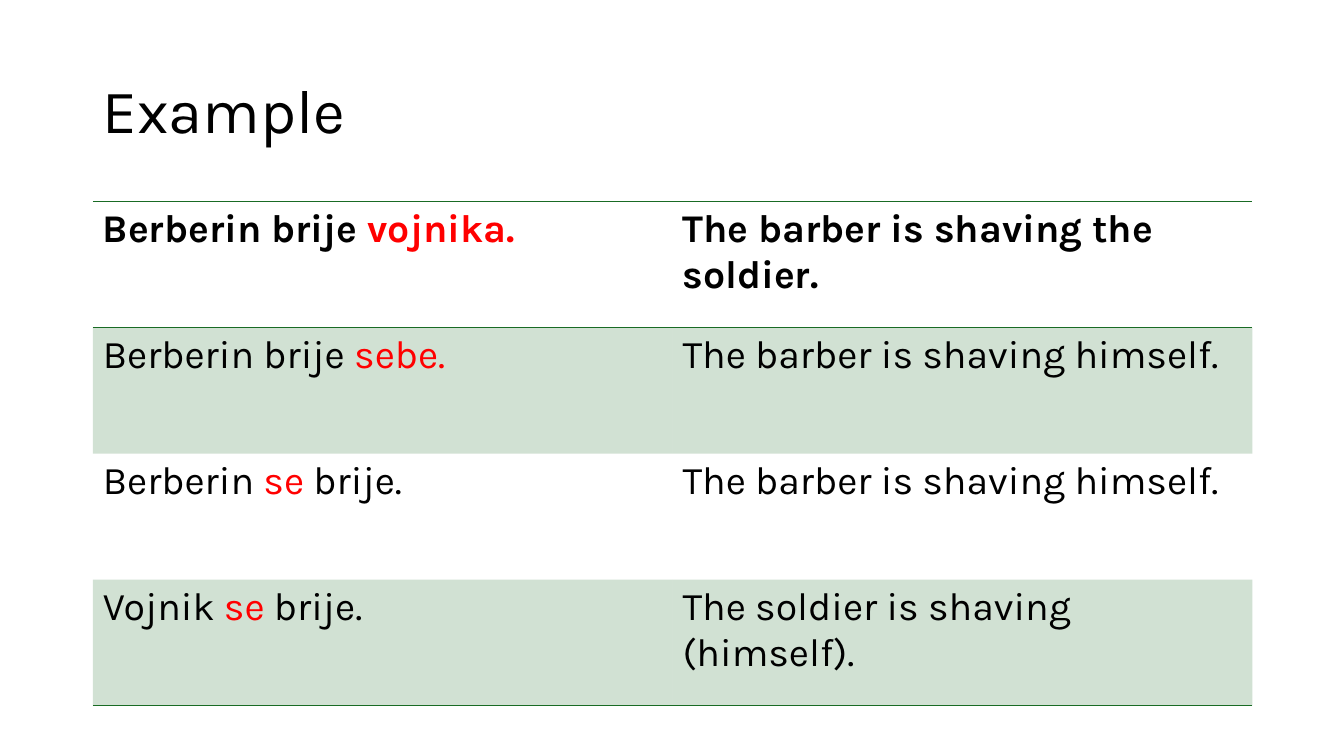
from dataclasses import dataclass

from lxml import etree
from pptx import Presentation
from pptx import util as u
from pptx.dml.color import RGBColor
from pptx.enum import text
from pptx.oxml import ns

FONT = "Karla"
COLORS = {"text": "000000", "accent": "FF0000", "green": "196B24"}
BAND_ALPHA = 20
NO_STYLE = "{2D5ABB26-0587-4C30-8999-92F81FD0307C}"
LEFT, WIDTH = 0.92, 11.5
ROW_HEIGHT = 1.25


@dataclass
class Example:
    before: str
    marked: str
    after: str
    english: str
    bold: bool = False
    banded: bool = False
    borders: tuple[str, ...] = ()


EXAMPLES = [
    Example("Berberin brije ", "vojnika.", "", "The barber is shaving the soldier.",
            bold=True, borders=("T", "B")),
    Example("Berberin brije ", "sebe.", "", "The barber is shaving himself.", banded=True),
    Example("Berberin ", "se", " brije.", "The barber is shaving himself."),
    Example("Vojnik ", "se", " brije.", "The soldier is shaving (himself).",
            banded=True, borders=("B",)),
]


def rgb(name: str) -> RGBColor:
    return RGBColor.from_string(COLORS[name])


def add_border(cell, side: str) -> None:
    tc_pr = cell._tc.get_or_add_tcPr()
    ln = etree.SubElement(tc_pr, ns.qn(f"a:ln{side}"), w=str(u.Pt(1)))
    fill = etree.SubElement(ln, ns.qn("a:solidFill"))
    etree.SubElement(fill, ns.qn("a:srgbClr"), val=COLORS["green"])


def fill_cell(cell, banded: bool) -> None:
    if not banded:
        cell.fill.background()
        return
    cell.fill.solid()
    cell.fill.fore_color.rgb = rgb("green")
    color = cell._tc.tcPr.find(f"{ns.qn('a:solidFill')}/{ns.qn('a:srgbClr')}")
    etree.SubElement(color, ns.qn("a:alpha"), val=str(BAND_ALPHA * 1000))


def write_cell(cell, runs: list[tuple[str, str]], example: Example) -> None:
    """Write (words, colour name) runs and give the cell its row's look."""
    p = cell.text_frame.paragraphs[0]
    p.font.name, p.font.size, p.font.bold = FONT, u.Pt(28), example.bold
    for words, color in runs:
        if words:
            r = p.add_run()
            r.text = words
            r.font.color.rgb = rgb(color)
    for side in example.borders:
        add_border(cell, side)
    fill_cell(cell, example.banded)


def add_title(s) -> None:
    sp = s.shapes.title
    sp.left, sp.top = u.Inches(LEFT), u.Inches(0.4)
    sp.width, sp.height = u.Inches(WIDTH), u.Inches(1.45)
    tf = sp.text_frame
    tf.text = "Example"
    tf.vertical_anchor = text.MSO_ANCHOR.MIDDLE
    p = tf.paragraphs[0]
    p.alignment = text.PP_ALIGN.LEFT
    p.line_spacing = 0.9
    p.font.name, p.font.size = FONT, u.Pt(44)
    p.font.color.rgb = rgb("text")


def add_examples(s) -> None:
    frame = s.shapes.add_table(len(EXAMPLES), 2, u.Inches(LEFT), u.Inches(2),
                               u.Inches(WIDTH), u.Inches(ROW_HEIGHT * len(EXAMPLES)))
    table = frame.table
    table.first_row = table.horz_banding = False
    table._tbl.tblPr.find(ns.qn("a:tableStyleId")).text = NO_STYLE
    for row, example in enumerate(EXAMPLES):
        serbian = [(example.before, "text"), (example.marked, "accent"),
                   (example.after, "text")]
        write_cell(table.cell(row, 0), serbian, example)
        write_cell(table.cell(row, 1), [(example.english, "text")], example)


def main() -> None:
    prs = Presentation()
    prs.slide_width, prs.slide_height = u.Inches(13.33), u.Inches(7.5)
    s = prs.slides.add_slide(prs.slide_layouts[5])
    add_title(s)
    add_examples(s)
    prs.save("out.pptx")


if __name__ == "__main__":
    main()
